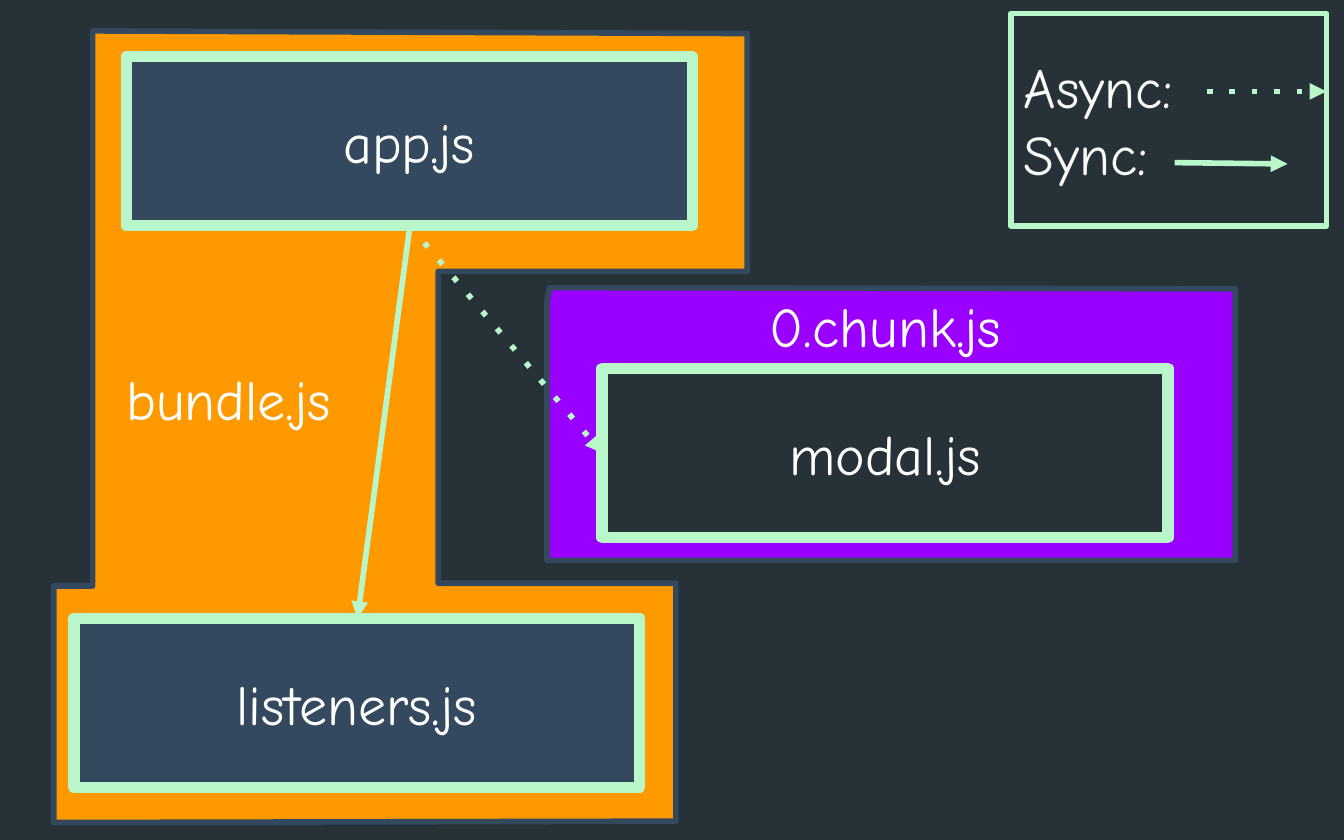
from lxml import etree
from pptx import Presentation
from pptx import util as u
from pptx.dml.color import RGBColor
from pptx.enum import dml, shapes, text
from pptx.oxml.ns import qn

SCALE = 9144
WIDTH, HEIGHT = 1000, 625
FONT, FONT_SIZE = "Comic Neue", 30
DARK, SLATE, MINT = "263238", "34495E", "B9F6CA"
ORANGE, PURPLE = "FF9900", "9900FF"
WHITE, OFF_WHITE = "FFFFFF", "F9F9F9"
PROCESS = shapes.MSO_SHAPE.FLOWCHART_PROCESS
RECTANGLE = shapes.MSO_SHAPE.RECTANGLE
CENTER, LEFT = text.PP_ALIGN.CENTER, text.PP_ALIGN.LEFT
MIDDLE, TOP = text.MSO_ANCHOR.MIDDLE, text.MSO_ANCHOR.TOP

BUNDLES = [
    (PURPLE, [(407, 224), (407, 417), (919, 417), (919, 215), (409, 214)]),
    (ORANGE, [(69, 23), (69, 436), (40, 436), (40, 612), (503, 611),
              (503, 434), (326, 434), (326, 202), (556, 202), (556, 25)]),
]
MODULE_SIZE = (421, 126)
MODULES = [
    ("app.js", (94, 42), SLATE),
    ("listeners.js", (55, 460), SLATE),
    ("modal.js", (448, 274), DARK),
]
LEGEND = (["Async:", "Sync:"], (752, 10, 235, 158))
ARROWS = [
    ((305, 168), (266, 460), False),
    ((305, 168), (448, 337), True),
    ((898, 68), (987, 68), True),
    ((874, 121), (958, 122), False),
]
LABELS = [
    ("bundle.js", (84, 261, 215, 86)),
    ("0.chunk.js", (563, 207, 230, 61)),
]


def px(*values):
    return [u.Emu(value * SCALE) for value in values]


def color(value):
    return RGBColor.from_string(value)


def paint(shape, fill, line, width):
    shape.shadow.inherit = False
    shape.fill.solid()
    shape.fill.fore_color.rgb = color(fill)
    shape.line.color.rgb = color(line)
    shape.line.width = u.Pt(width)


def write(shape, lines, align, anchor, ink=WHITE):
    frame = shape.text_frame
    frame.word_wrap = True
    frame.vertical_anchor = anchor
    frame.margin_left, frame.margin_top, frame.margin_right, frame.margin_bottom = px(10, 10, 10, 10)
    for index, line in enumerate(lines):
        para = frame.paragraphs[0] if index == 0 else frame.add_paragraph()
        para.alignment = align
        span = para.add_run()
        span.text = line
        span.font.name = FONT
        span.font.size = u.Pt(FONT_SIZE)
        span.font.color.rgb = color(ink)


def add_bundle(page, fill, points):
    builder = page.shapes.build_freeform(*points[0], scale=SCALE)
    builder.add_line_segments(points[1:], close=True)
    paint(builder.convert_to_shape(), fill, SLATE, 3)


def add_box(page, kind, place, fill, width, lines, align, ink=WHITE):
    box = page.shapes.add_shape(kind, *px(*place))
    paint(box, fill, MINT, width)
    write(box, lines, align, MIDDLE, ink)


def add_arrow(page, start, end, dotted):
    arrow = page.shapes.add_connector(shapes.MSO_CONNECTOR.STRAIGHT, *px(*start, *end))
    arrow.line.color.rgb = color(MINT)
    arrow.line.width = u.Pt(3)
    if dotted:
        arrow.line.dash_style = dml.MSO_LINE.SQUARE_DOT
        arrow.line._ln.find(qn("a:prstDash")).set("val", "dot")
    etree.SubElement(arrow.line._ln, qn("a:tailEnd"), type="triangle")
    etree.SubElement(arrow._element.spPr, qn("a:effectLst"))


def main():
    deck = Presentation()
    deck.slide_width, deck.slide_height = px(WIDTH, HEIGHT)
    page = deck.slides.add_slide(deck.slide_layouts[6])
    page.background.fill.solid()
    page.background.fill.fore_color.rgb = color(DARK)

    for fill, points in BUNDLES:
        add_bundle(page, fill, points)
    for name, corner, fill in MODULES:
        add_box(page, PROCESS, corner + MODULE_SIZE, fill, 6, [name], CENTER)
    lines, place = LEGEND
    add_box(page, RECTANGLE, place, DARK, 3, lines, LEFT, OFF_WHITE)
    for start, end, dotted in ARROWS:
        add_arrow(page, start, end, dotted)
    for name, place in LABELS:
        write(page.shapes.add_textbox(*px(*place)), [name], LEFT, TOP)

    deck.save("out.pptx")


if __name__ == "__main__":
    main()
